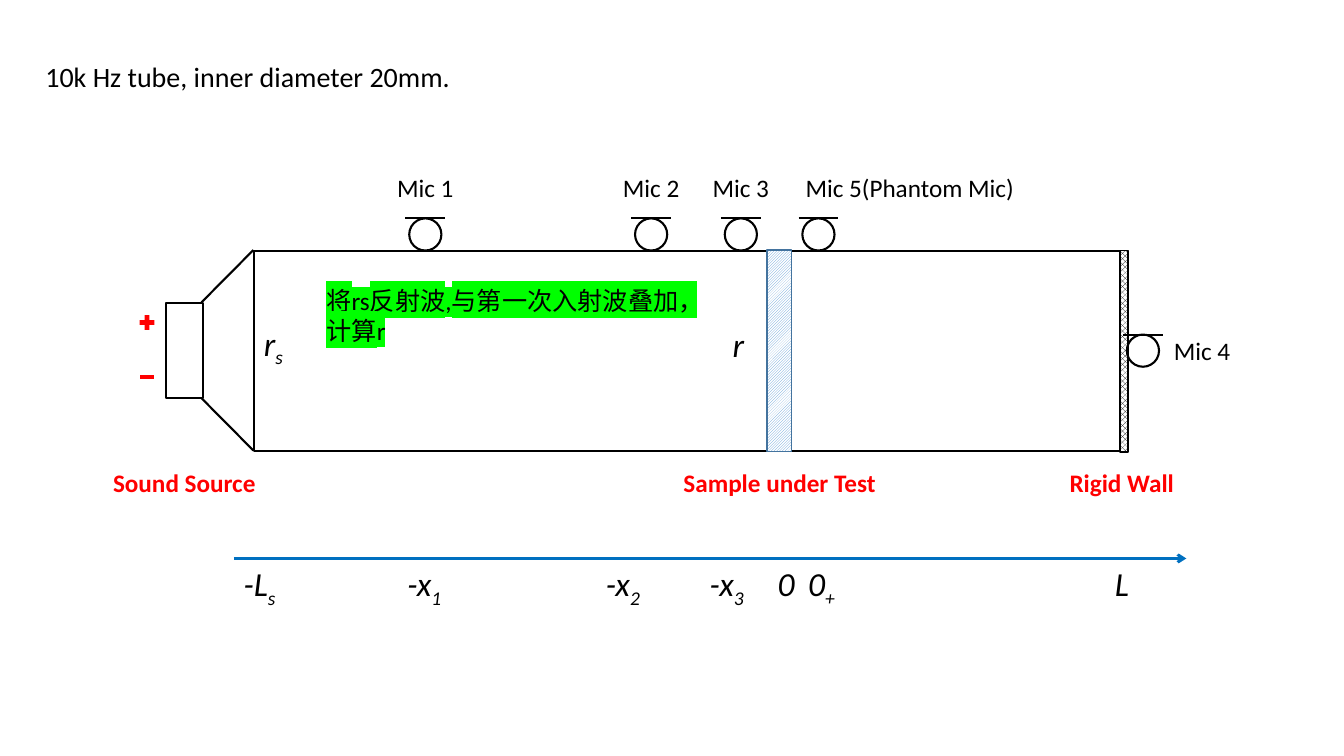
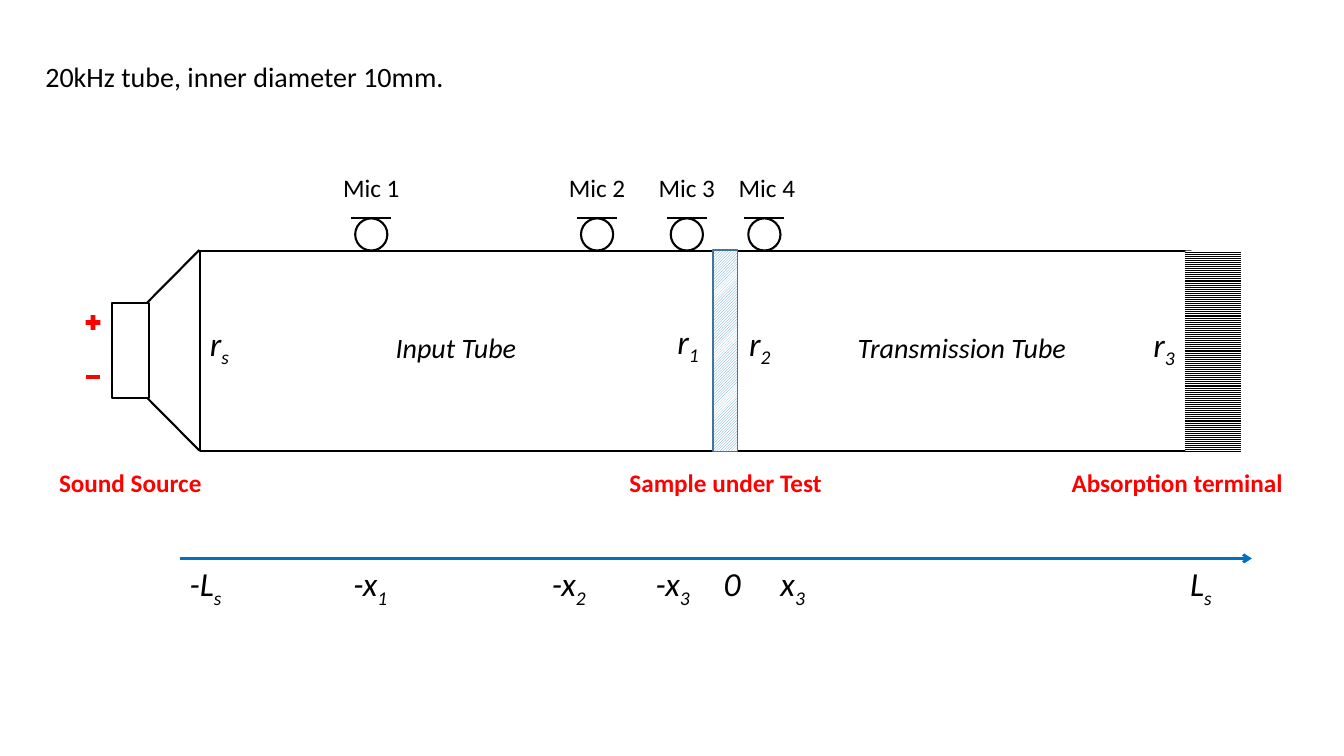
import pptx
import pptx.util
import pptx.dml.color
import pptx.enum.dml
import pptx.enum.shapes
import pptx.enum.text
import pptx.oxml
import pptx.oxml.ns

Pt = pptx.util.Pt
RGB = pptx.dml.color.RGBColor
SHAPE = pptx.enum.shapes.MSO_SHAPE
PATTERN = pptx.enum.dml.MSO_PATTERN
ALIGN = pptx.enum.text.PP_ALIGN

BLACK = RGB(0x00, 0x00, 0x00)
WHITE = RGB(0xFF, 0xFF, 0xFF)
RED = RGB(0xFF, 0x00, 0x00)
AXIS_BLUE = RGB(0x00, 0x70, 0xC0)
SAMPLE_BLUE = RGB(0x5B, 0x9B, 0xD5)
SAMPLE_EDGE = RGB(0x43, 0x73, 0x9E)
GREEN = RGB(0x00, 0xFF, 0x00)
FONT = "Calibri"

# Content: x is measured from the left end of the tube, "_" starts a subscript
MIC_X = (122.4, 283.7, 347.8, 403.2)
TUBE_TOP, TUBE_HEIGHT = 179, 143
MIC_SIZE, MIC_BAR = 23, 28.4
MIC_TOP, MIC_LABEL_TOP = 156, 119.5
NAME_TOP, AXIS_TOP = 330.5, 398.9

SHARED_NAMES = [("Sound Source", -49.7), ("Sample under Test", 375.5)]
SHARED_TICKS = [("-L_s", 4), ("-x_1", 121.7), ("-x_2", 263.5),
                ("-x_3", 337.7), ("0", 380.2)]

TUBES = [
    dict(title="10k Hz tube, inner diameter 20mm.", left=181.4, length=623.5,
         axis_end=666,
         mic_labels=[("Mic 1", 0), ("Mic 2", 0), ("Mic 3", 0),
                     ("Mic 5(Phantom Mic)", 65.2)],
         wall_mic=dict(text="Mic 4", x=635, top=239, label_x=677.2),
         names=[("Rigid Wall", 619.9)],
         ticks=[("0_+", 405.4), ("L", 619.9)],
         reflections=[("r_s", 0, 226.8), ("r", 334.8, 228.2)],
         sections=[],
         terminal=dict(x=618.5, width=5.8, pattern=PATTERN.OUTLINED_DIAMOND,
                       edge=BLACK),
         remark=("将rs反射波,与第一次入射波叠加，计算r", 44.7, 200.2, 278.6)),
    dict(title="20kHz tube, inner diameter 10mm.", left=142.8, length=707.8,
         axis_end=751.4,
         mic_labels=[("Mic 1", 0), ("Mic 2", 0), ("Mic 3", 0), ("Mic 4", 1.8)],
         wall_mic=None,
         names=[("Absorption terminal", 698)],
         ticks=[("x_3", 423.4), ("L_s", 715)],
         reflections=[("r_s", 0, 226.8), ("r_1", 334, 225.4),
                      ("r_2", 385.2, 226.8), ("r_3", 674, 227.5)],
         sections=[("Input Tube", 182.9), ("Transmission Tube", 544.3)],
         terminal=dict(x=704, width=39.9, pattern=PATTERN.LIGHT_HORIZONTAL,
                       edge=None),
         remark=None),
]


def write(box, text, size=18, color=BLACK, bold=False, italic=False,
          align=ALIGN.CENTER, highlight=None):
    """Fill a box with one paragraph; the part after "_" is lowered."""
    frame = box.text_frame
    frame.word_wrap = True
    frame.vertical_anchor = pptx.enum.text.MSO_ANCHOR.TOP
    para = frame.paragraphs[0]
    para.alignment = align
    for index, part in enumerate(text.split("_")):
        span = para.add_run()
        span.text = part
        span.font.size = Pt(size)
        span.font.bold = bold
        span.font.italic = italic
        span.font.color.rgb = color
        properties = span.font._element
        if highlight is not None:
            properties.append(pptx.oxml.parse_xml(
                f'<a:highlight {pptx.oxml.ns.nsdecls("a")}>'
                f'<a:srgbClr val="{highlight}"/></a:highlight>'))
        span.font.name = FONT
        if index:
            properties.set("baseline", "-25000")


def add_text(page, text, left, top, width, height=30, **style):
    write(page.shapes.add_textbox(Pt(left), Pt(top), Pt(width), Pt(height)),
          text, **style)


def add_label(page, text, center, top, width=200, **style):
    add_text(page, text, center - width / 2, top, width, **style)


def add_part(page, kind, left, top, width, height, fill=None, pattern=None,
             edge=BLACK, weight=1.5):
    part = page.shapes.add_shape(kind, Pt(left), Pt(top), Pt(width), Pt(height))
    part.shadow.inherit = False
    if pattern is not None:
        part.fill.patterned()
        part.fill.pattern = pattern
        part.fill.fore_color.rgb = fill
        part.fill.back_color.rgb = WHITE
    elif fill is not None:
        part.fill.solid()
        part.fill.fore_color.rgb = fill
    else:
        part.fill.background()
    if edge is None:
        part.line.fill.background()
    else:
        part.line.color.rgb = edge
        part.line.width = Pt(weight)


def add_line(page, x1, y1, x2, y2, color=BLACK, weight=1.5, arrow=False):
    line = page.shapes.add_connector(
        pptx.enum.shapes.MSO_CONNECTOR.STRAIGHT, Pt(x1), Pt(y1), Pt(x2), Pt(y2))
    line.line.color.rgb = color
    line.line.width = Pt(weight)
    namespace = pptx.oxml.ns.nsdecls("a")
    if arrow:
        line.line._get_or_add_ln().append(
            pptx.oxml.parse_xml(f'<a:tailEnd {namespace} type="arrow"/>'))
    line._element.spPr.append(pptx.oxml.parse_xml(f"<a:effectLst {namespace}/>"))


def add_mic(page, center, top):
    add_part(page, SHAPE.OVAL, center - MIC_SIZE / 2, top, MIC_SIZE, MIC_SIZE)
    add_line(page, center - MIC_BAR / 2, top, center + MIC_BAR / 2, top)


def add_source(page, left):
    """Loudspeaker with its horn and polarity signs."""
    add_part(page, SHAPE.RECTANGLE, left - 62.5, 216.7, 25.9, 67.7)
    for inner, outer in ((216, 178.6), (284.4, 321.8)):
        add_line(page, left - 37.5, inner, left - 0.4, outer)
    for sign, top in ((SHAPE.MATH_PLUS, 223.2), (SHAPE.MATH_MINUS, 262.1)):
        add_part(page, sign, left - 83.5, top, 14.4, 14.4, fill=RED, edge=None)


def add_tube_page(deck, tube):
    page = deck.slides.add_slide(deck.slide_layouts[5])
    left = tube["left"]

    # Title
    title = page.shapes.title
    title.left, title.top, title.width, title.height = (
        Pt(25.2), Pt(38.9), Pt(344.2), Pt(31.5))
    write(title, tube["title"], size=20, align=ALIGN.LEFT)

    # Source, tube, sample and terminal
    add_source(page, left)
    add_part(page, SHAPE.RECTANGLE, left, TUBE_TOP, tube["length"], TUBE_HEIGHT)
    add_part(page, SHAPE.RECTANGLE, left + 366.6, TUBE_TOP - 0.4, 17.3, 144,
             fill=SAMPLE_BLUE, pattern=PATTERN.LIGHT_UPWARD_DIAGONAL,
             edge=SAMPLE_EDGE, weight=1)
    terminal = tube["terminal"]
    add_part(page, SHAPE.RECTANGLE, left + terminal["x"], TUBE_TOP,
             terminal["width"], TUBE_HEIGHT + 1, fill=BLACK,
             pattern=terminal["pattern"], edge=terminal["edge"], weight=1)

    # Microphones
    for x, (text, shift) in zip(MIC_X, tube["mic_labels"]):
        add_mic(page, left + x, MIC_TOP)
        add_label(page, text, left + x + shift, MIC_LABEL_TOP)
    wall_mic = tube["wall_mic"]
    if wall_mic:
        add_mic(page, left + wall_mic["x"], wall_mic["top"])
        add_label(page, wall_mic["text"], left + wall_mic["label_x"],
                  wall_mic["top"] - 2.8, width=60)

    # Part names, axis and its positions
    for text, x in SHARED_NAMES + tube["names"]:
        add_label(page, text, left + x, NAME_TOP, color=RED, bold=True)
    add_line(page, left - 14.4, AXIS_TOP, left + tube["axis_end"], AXIS_TOP,
             color=AXIS_BLUE, weight=2, arrow=True)
    for text, x in SHARED_TICKS + tube["ticks"]:
        add_label(page, text, left + x, AXIS_TOP, width=60, size=24, italic=True)

    # Reflection coefficients and tube sections
    for text, x, top in tube["reflections"]:
        add_text(page, text, left + x, top, 40, size=24, italic=True,
                 align=ALIGN.LEFT)
    for text, x in tube["sections"]:
        add_label(page, text, left + x, 232.6, size=20, italic=True)
    if tube["remark"]:
        text, x, top, width = tube["remark"]
        add_text(page, text, left + x, top, width, 51, align=ALIGN.LEFT,
                 highlight=GREEN)


def main():
    deck = pptx.Presentation()
    deck.slide_width, deck.slide_height = Pt(960), Pt(540)
    for tube in TUBES:
        add_tube_page(deck, tube)
    deck.save("out.pptx")


if __name__ == "__main__":
    main()
